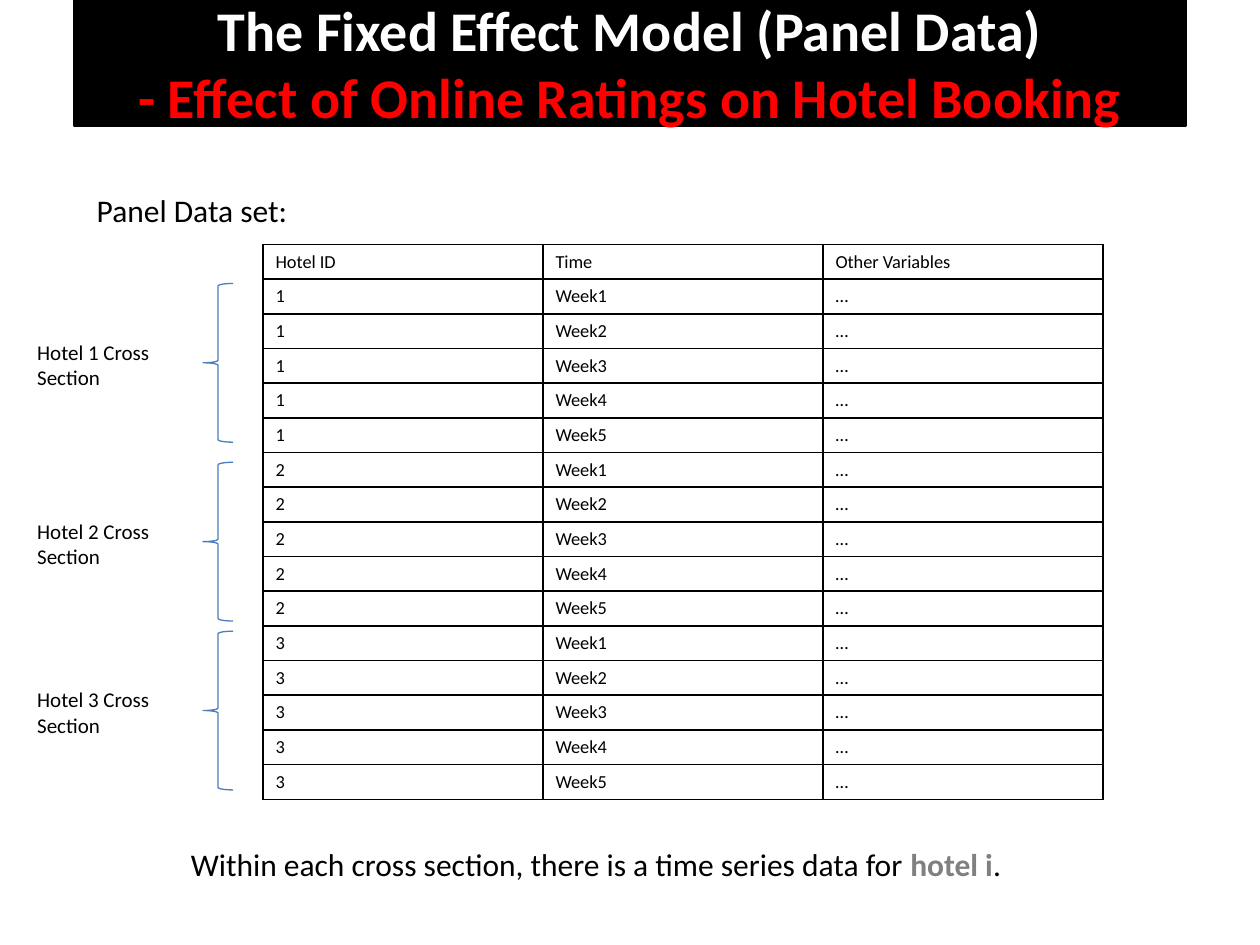
from dataclasses import dataclass

from lxml.etree import SubElement
from pptx import Presentation
from pptx.dml.color import RGBColor
from pptx.enum.shapes import MSO_SHAPE
from pptx.enum.text import MSO_ANCHOR, MSO_AUTO_SIZE, PP_ALIGN
from pptx.oxml.ns import qn
from pptx.util import Pt


@dataclass(frozen=True)
class Theme:
    font: str = "Calibri"
    black: str = "000000"
    white: str = "FFFFFF"
    red: str = "FF0000"
    grey: str = "808080"
    brace: str = "4B7EBC"
    title_size: float = 32
    body_size: float = 18
    label_size: float = 12
    table_size: float = 10.5


THEME = Theme()
HOTELS = (1, 2, 3)
WEEKS = range(1, 6)
BRACE_TOPS = (162, 264.2, 360.7)
BRACE_HEIGHT = 90.7
LABEL_OFFSET = 28.3


def rgb(color):
    return RGBColor.from_string(color)


def format_runs(paragraph, size, color=THEME.black, bold=False):
    for run in paragraph.runs:
        font = run.font
        font.name, font.size, font.bold = THEME.font, Pt(size), bold
        font.color.rgb = rgb(color)


def add_title(slide, lines):
    """Fill the title bar with (text, color) lines."""
    title = slide.shapes.title
    title.left, title.top, title.width, title.height = Pt(42.5), 0, Pt(635), Pt(71.5)
    title.fill.solid()
    title.fill.fore_color.rgb = rgb(THEME.black)
    title.line.color.rgb = rgb(THEME.black)
    title.line.width = Pt(2)
    frame = title.text_frame
    frame.auto_size = MSO_AUTO_SIZE.NONE
    frame.vertical_anchor = MSO_ANCHOR.MIDDLE
    frame.text = "\n".join(text for text, _ in lines)
    for paragraph, (_, color) in zip(frame.paragraphs, lines):
        paragraph.alignment = PP_ALIGN.CENTER
        format_runs(paragraph, THEME.title_size, color, bold=True)


def add_text(slide, left, top, width, height, text, size):
    """Add a wrapping text box and return its paragraph."""
    box = slide.shapes.add_textbox(Pt(left), Pt(top), Pt(width), Pt(height))
    frame = box.text_frame
    frame.word_wrap = True
    frame.auto_size = MSO_AUTO_SIZE.SHAPE_TO_FIT_TEXT
    frame.text = text
    format_runs(frame.paragraphs[0], size)
    return frame.paragraphs[0]


def set_borders(cell, color, width):
    properties = cell._tc.get_or_add_tcPr()
    for side in ("lnL", "lnR", "lnT", "lnB"):
        border = SubElement(properties, qn(f"a:{side}"), w=str(Pt(width)))
        fill = SubElement(border, qn("a:solidFill"))
        SubElement(fill, qn("a:srgbClr"), val=color)


def add_panel_table(slide):
    records = [("Hotel ID", "Time", "Other Variables")]
    records += [(str(hotel), f"Week{week}", "…") for hotel in HOTELS for week in WEEKS]
    row_height = 19.8
    table = slide.shapes.add_table(
        len(records), len(records[0]), Pt(150.3), Pt(139.7),
        Pt(480), Pt(row_height * len(records))).table
    table.first_row = table.horz_banding = False
    for row, record in zip(table.rows, records):
        row.height = Pt(row_height)
        for cell, value in zip(row.cells, record):
            cell.text = value
            format_runs(cell.text_frame.paragraphs[0], THEME.table_size)
            set_borders(cell, THEME.black, 1)
            cell.fill.background()


def add_cross_section(slide, hotel, top):
    """Bracket one hotel's rows and label them."""
    brace = slide.shapes.add_shape(
        MSO_SHAPE.LEFT_BRACE, Pt(116), Pt(top), Pt(17.3), Pt(BRACE_HEIGHT))
    brace.shadow.inherit = False
    brace.fill.background()
    brace.line.color.rgb = rgb(THEME.brace)
    brace.line.width = Pt(0.75)
    add_text(slide, 14.2, top + LABEL_OFFSET, 90.7, 36,
             f"Hotel {hotel} Cross Section", THEME.label_size)


def add_conclusion(slide):
    sentence = add_text(
        slide, 102, 479.5, 572.5, 29,
        "Within each cross section, there is a time series data for ", THEME.body_size)
    subject, stop = sentence.add_run(), sentence.add_run()
    subject.text, stop.text = "hotel i", "."
    format_runs(sentence, THEME.body_size)
    subject.font.bold = True
    subject.font.color.rgb = rgb(THEME.grey)


def main():
    deck = Presentation()
    deck.slide_width, deck.slide_height = Pt(720), Pt(540)
    slide = deck.slides.add_slide(deck.slide_layouts.get_by_name("Title Only"))
    add_title(slide, [
        ("The Fixed Effect Model (Panel Data)", THEME.white),
        ("- Effect of Online Ratings on Hotel Booking", THEME.red),
    ])
    add_text(slide, 48.2, 105.8, 646.5, 51, "Panel Data set:", THEME.body_size)
    add_panel_table(slide)
    for hotel, top in zip(HOTELS, BRACE_TOPS):
        add_cross_section(slide, hotel, top)
    add_conclusion(slide)
    deck.save("out.pptx")


if __name__ == "__main__":
    main()
